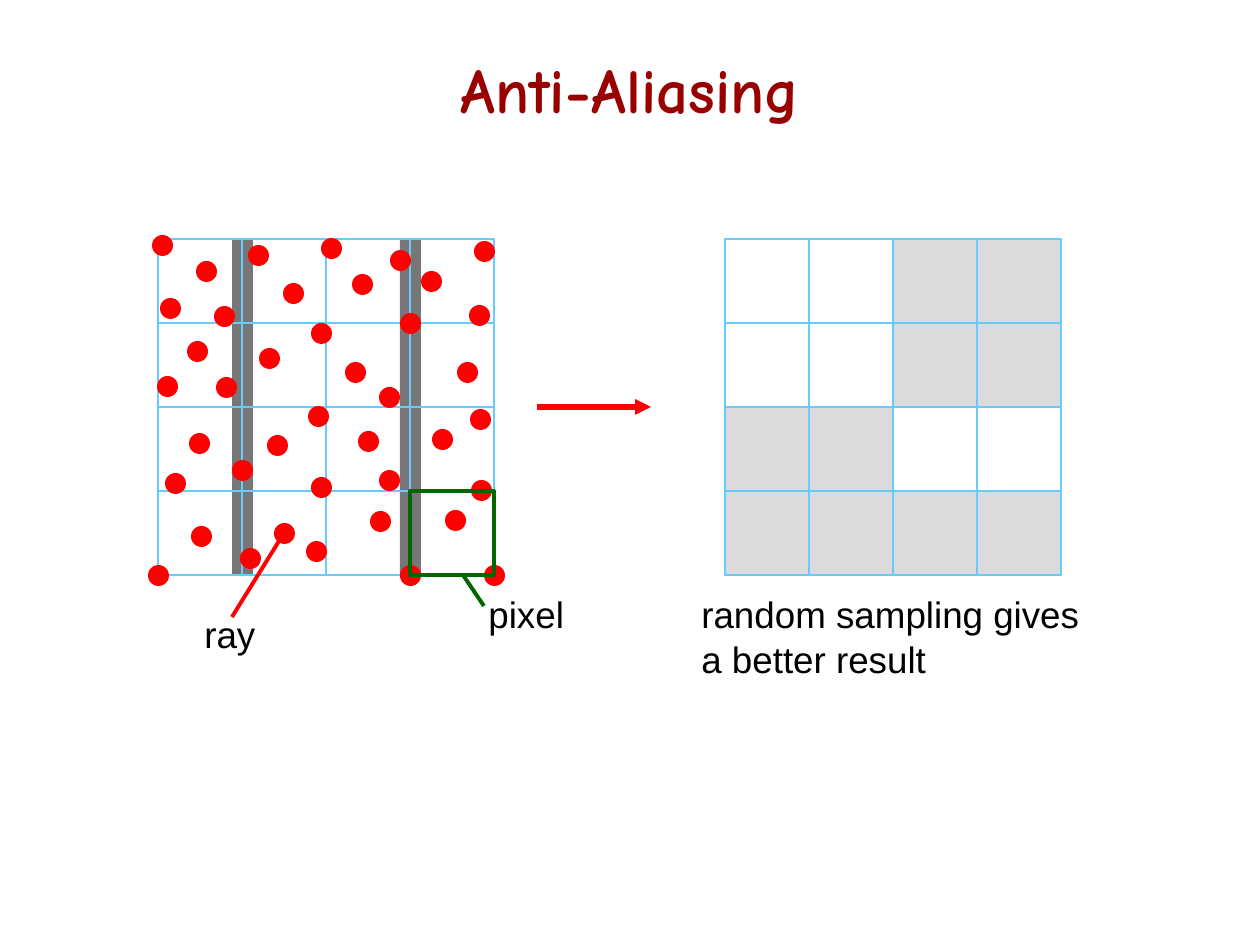
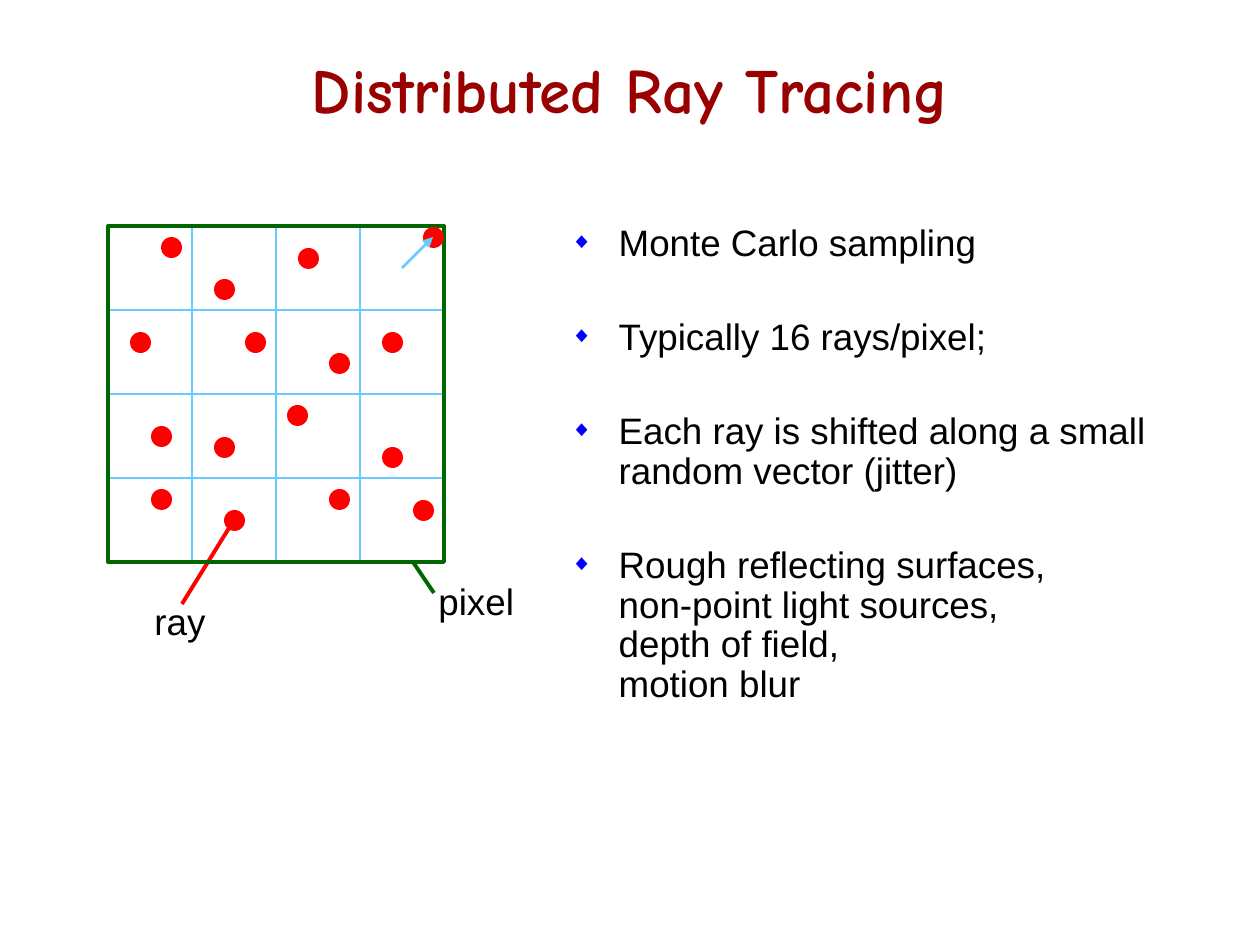
from dataclasses import dataclass
from typing import NamedTuple

from lxml import etree
from pptx import Presentation
from pptx.dml.color import RGBColor
from pptx.enum.shapes import MSO_CONNECTOR, MSO_SHAPE
from pptx.enum.text import MSO_ANCHOR, MSO_AUTO_SIZE, PP_ALIGN
from pptx.oxml.ns import qn
from pptx.util import Emu, Pt

RECT, OVAL = MSO_SHAPE.RECTANGLE, MSO_SHAPE.OVAL
STRAIGHT = MSO_CONNECTOR.STRAIGHT
MIDDLE, TOP = MSO_ANCHOR.MIDDLE, MSO_ANCHOR.TOP
CENTER, LEFT = PP_ALIGN.CENTER, PP_ALIGN.LEFT
NO_AUTOSIZE = MSO_AUTO_SIZE.NONE

EMU_PER_PX = 914400 / 126
SLIDE_W, SLIDE_H = 1260, 945
CELL, CELLS = 84, 4
SIDE = CELL * CELLS
DOT = 21
TITLE_ONLY, TITLE_AND_BODY = 5, 1


@dataclass(frozen=True)
class Theme:
    title: str = "990000"
    text: str = "000000"
    bullet: str = "0000FF"
    grid: str = "66CCFF"
    ray: str = "FF0000"
    pixel: str = "006600"
    stripe: str = "777777"
    shade: str = "DBDBDB"
    title_font: str = "Comic Neue"
    text_font: str = "Arial"
    title_size: float = 36
    text_size: float = 21
    label_pitch: float = 25.2
    list_pitch: float = 22.7
    list_gap: float = 31
    thin: float = 1.5
    medium: float = 2.25
    thick: float = 3


THEME = Theme()


class Point(NamedTuple):
    x: int
    y: int

    def shift(self, dx: int, dy: int) -> "Point":
        return Point(self.x + dx, self.y + dy)


class Box(NamedTuple):
    x: int
    y: int
    w: int
    h: int


class Label(NamedTuple):
    text: str
    box: Box


class Pen(NamedTuple):
    color: str
    width: float


GRID_PEN = Pen(THEME.grid, THEME.thin)
PIXEL_PEN = Pen(THEME.pixel, THEME.medium)
RAY_PEN = Pen(THEME.ray, THEME.medium)
ARROW_PEN = Pen(THEME.ray, THEME.thick)

TITLE_BOX = Box(94, 32, 1072, 113)
LIST_BOX = Box(558, 218, 620, 493)
LIST_INDENT = 48

# Slide 1: rays scattered over 16 pixels, and the pixels they shade
SCENE = Point(158, 239)
RESULT = Point(725, 239)
STRIPE_OFFSETS = (74, 242)
SCATTERED_RAYS = [
    (162, 245), (206, 271), (258, 255), (293, 293), (331, 248), (362, 284),
    (400, 260), (431, 281), (484, 251), (170, 308), (224, 316), (321, 333),
    (410, 323), (479, 315), (197, 351), (269, 358), (355, 372), (467, 372),
    (167, 386), (226, 387), (389, 397), (318, 416), (480, 419), (199, 443),
    (277, 445), (368, 441), (442, 439), (242, 470), (175, 483), (321, 487),
    (389, 480), (481, 490), (201, 536), (284, 533), (380, 521), (455, 520),
    (250, 558), (316, 551), (158, 575), (410, 575), (494, 575),
]
SHADED = ("..##", "..##", "##..", "####")
RESULT_LABEL = Label("random sampling gives\na better result", Box(689, 586, 403, 101))

# Slide 2: one pixel with 16 jittered rays
PIXEL = Point(108, 226)
JITTERED_RAYS = [
    (171, 247), (224, 289), (308, 258), (433, 237),
    (140, 342), (255, 342), (339, 363), (392, 342),
    (161, 436), (224, 447), (297, 415), (392, 457),
    (161, 499), (234, 520), (339, 499), (423, 510),
]
FEATURES = [
    "Monte Carlo sampling",
    "Typically 16 rays/pixel;",
    "Each ray is shifted along a small random vector (jitter)",
    "Rough reflecting surfaces,\vnon-point light sources,\vdepth of field,\vmotion blur",
]


def px(n: float) -> Emu:
    return Emu(round(n * EMU_PER_PX))


def rgb(color: str) -> RGBColor:
    return RGBColor.from_string(color)


def add_figure(s, kind, box: Box, fill: str = "", pen: Pen | None = None):
    """Draw a preset shape with an optional fill and outline."""
    sp = s.shapes.add_shape(kind, *map(px, box))
    sp.shadow.inherit = False
    if fill:
        sp.fill.solid()
        sp.fill.fore_color.rgb = rgb(fill)
    else:
        sp.fill.background()
    if pen:
        sp.line.color.rgb = rgb(pen.color)
        sp.line.width = Pt(pen.width)
    else:
        sp.line.fill.background()
    return sp


def add_line(s, start: Point, end: Point, pen: Pen, arrow: bool = False) -> None:
    c = s.shapes.add_connector(STRAIGHT, *map(px, (*start, *end)))
    c.line.color.rgb = rgb(pen.color)
    c.line.width = Pt(pen.width)
    props = c._element.spPr
    if arrow:
        etree.SubElement(props.find(qn("a:ln")), qn("a:tailEnd"), type="triangle")
    etree.SubElement(props, qn("a:effectLst"))


def style_paragraph(p, pitch: float) -> None:
    p.alignment = LEFT
    p.line_spacing = Pt(pitch)
    for r in p.runs:
        r.font.name = THEME.text_font
        r.font.size = Pt(THEME.text_size)
        r.font.color.rgb = rgb(THEME.text)


def add_label(s, label: Label) -> None:
    tf = s.shapes.add_textbox(*map(px, label.box)).text_frame
    tf.word_wrap = False
    tf.text = label.text
    for p in tf.paragraphs:
        style_paragraph(p, THEME.label_pitch)


def add_bullet(p) -> None:
    props = p._p.get_or_add_pPr()
    props.set("marL", str(px(LIST_INDENT)))
    props.set("indent", str(-px(LIST_INDENT)))
    color = etree.SubElement(props, qn("a:buClr"))
    etree.SubElement(color, qn("a:srgbClr"), val=THEME.bullet)
    etree.SubElement(props, qn("a:buSzPct"), val="60000")
    etree.SubElement(props, qn("a:buFont"), typeface=THEME.text_font)
    etree.SubElement(props, qn("a:buChar"), char="◆")


def place(sp, box: Box, anchor):
    """Move a placeholder and return its text frame."""
    sp.left, sp.top, sp.width, sp.height = map(px, box)
    tf = sp.text_frame
    tf.auto_size = NO_AUTOSIZE
    tf.word_wrap = True
    tf.vertical_anchor = anchor
    return tf


def add_titled_slide(prs, layout: int, title: str):
    s = prs.slides.add_slide(prs.slide_layouts[layout])
    tf = place(s.shapes.title, TITLE_BOX, MIDDLE)
    tf.text = title
    p = tf.paragraphs[0]
    p.alignment = CENTER
    font = p.runs[0].font
    font.name, font.size, font.bold = THEME.title_font, Pt(THEME.title_size), True
    font.color.rgb = rgb(THEME.title)
    return s


def add_list(s, items: list[str]) -> None:
    tf = place(s.placeholders[1], LIST_BOX, TOP)
    tf.text = "\n".join(items)
    for i, p in enumerate(tf.paragraphs):
        add_bullet(p)
        style_paragraph(p, THEME.list_pitch)
        p.space_before = Pt(THEME.list_gap if i else 0)


def add_grid(s, origin: Point) -> None:
    add_figure(s, RECT, Box(*origin, SIDE, SIDE), pen=GRID_PEN)
    for d in range(CELL, SIDE, CELL):
        add_line(s, origin.shift(0, d), origin.shift(SIDE, d), GRID_PEN)
        add_line(s, origin.shift(d, 0), origin.shift(d, SIDE), GRID_PEN)


def add_rays(s, centres: list[tuple[int, int]]) -> None:
    for x, y in centres:
        add_figure(s, OVAL, Box(x - DOT // 2, y - DOT // 2, DOT, DOT), THEME.ray)


def add_callouts(s, origin: Point) -> None:
    """Name one ray and one pixel below the grid."""
    add_line(s, origin.shift(305, SIDE), origin.shift(326, 367), PIXEL_PEN)
    add_line(s, origin.shift(74, 378), origin.shift(126, 294), RAY_PEN)
    add_label(s, Label("pixel", Box(*origin.shift(318, 347), 101, 57)))
    add_label(s, Label("ray", Box(*origin.shift(34, 367), 76, 57)))


def build_anti_aliasing(prs) -> None:
    s = add_titled_slide(prs, TITLE_ONLY, "Anti-Aliasing")

    # Sampled scene
    for dx in STRIPE_OFFSETS:
        add_figure(s, RECT, Box(*SCENE.shift(dx, 0), DOT, SIDE), THEME.stripe)
    add_grid(s, SCENE)
    add_rays(s, SCATTERED_RAYS)
    add_callouts(s, SCENE)
    last = SIDE - CELL
    add_figure(s, RECT, Box(*SCENE.shift(last, last), CELL, CELL), pen=PIXEL_PEN)

    # Resulting pixels
    add_line(s, Point(537, 407), Point(651, 407), ARROW_PEN, arrow=True)
    add_grid(s, RESULT)
    for row, marks in enumerate(SHADED):
        for col, mark in enumerate(marks):
            if mark == "#":
                corner = RESULT.shift(col * CELL, row * CELL)
                add_figure(s, RECT, Box(*corner, CELL, CELL), THEME.shade, GRID_PEN)
    add_label(s, RESULT_LABEL)


def build_distributed_ray_tracing(prs) -> None:
    s = add_titled_slide(prs, TITLE_AND_BODY, "Distributed Ray Tracing")
    add_list(s, FEATURES)

    # One pixel, its rays and a jitter vector
    add_grid(s, PIXEL)
    add_callouts(s, PIXEL)
    add_figure(s, RECT, Box(*PIXEL, SIDE, SIDE), pen=PIXEL_PEN)
    add_rays(s, JITTERED_RAYS)
    add_line(s, Point(402, 268), Point(433, 237), GRID_PEN, arrow=True)


def main() -> None:
    prs = Presentation()
    prs.slide_width, prs.slide_height = px(SLIDE_W), px(SLIDE_H)
    build_anti_aliasing(prs)
    build_distributed_ray_tracing(prs)
    prs.save("out.pptx")


if __name__ == "__main__":
    main()
